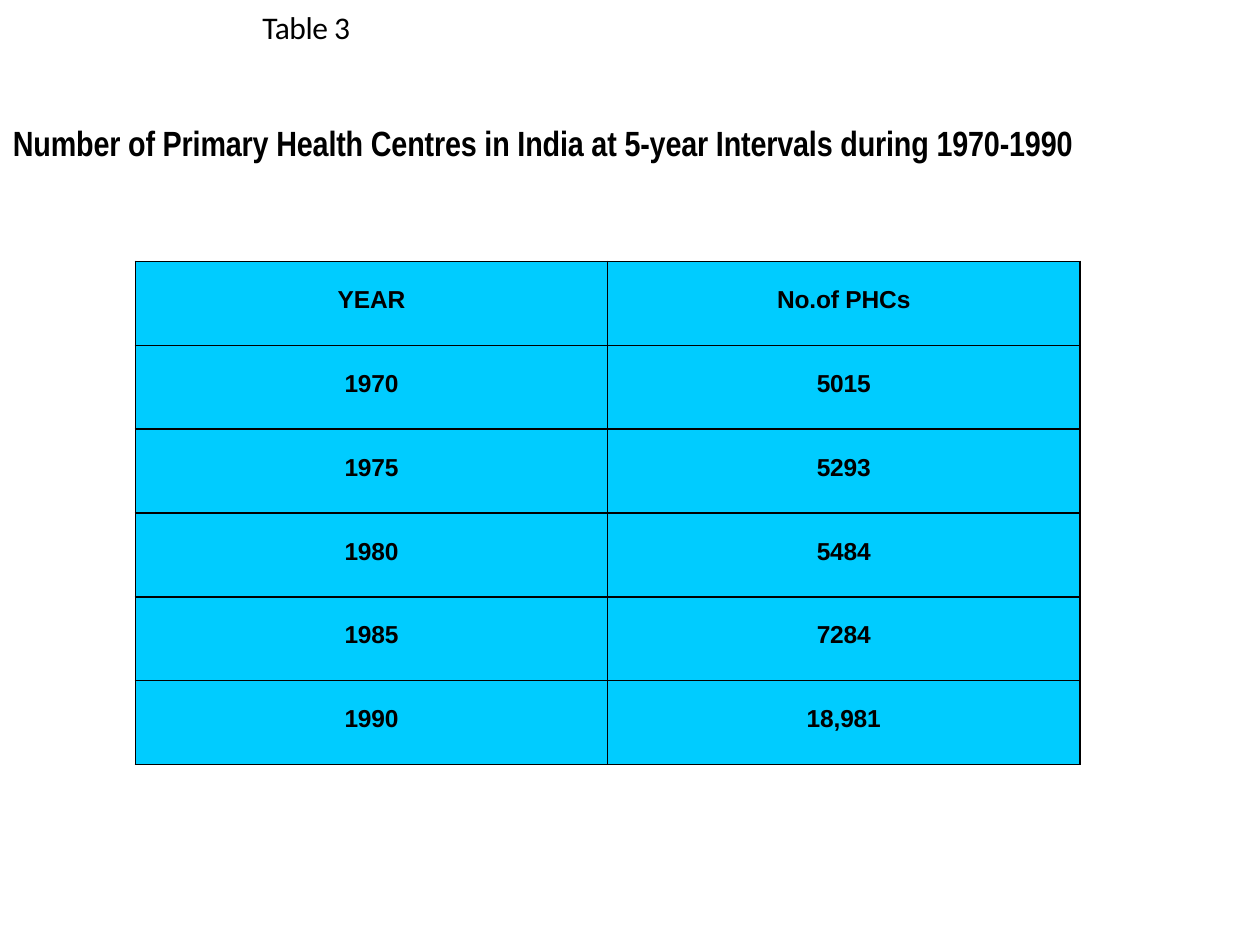
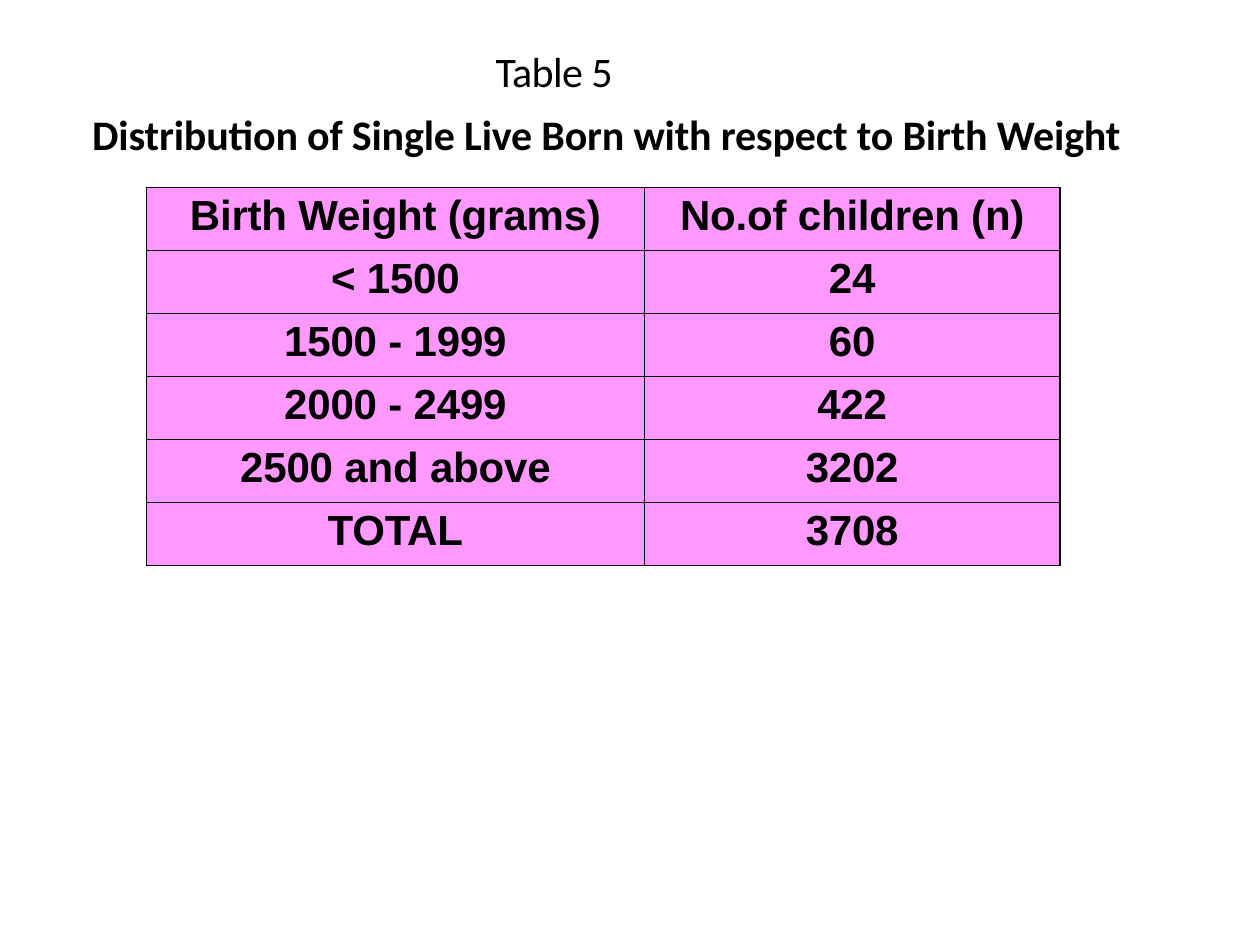
import pptx
import pptx.dml.color
import pptx.enum.text
import pptx.oxml
import pptx.oxml.ns
import pptx.util
from lxml import etree

Cm = pptx.util.Cm
Pt = pptx.util.Pt
Align = pptx.enum.text.PP_ALIGN

COLOURS = {"ink": "000000", "paper": "FFFFFF", "sky": "00CCFF", "pink": "FF99FF"}


def rgb(name):
    return pptx.dml.color.RGBColor.from_string(COLOURS[name])


def write(frame, text, font="Arial", size=14, bold=False, spacing=-0.1,
          align=Align.LEFT, before=0):
    """Put one formatted paragraph into a text frame; spacing is in points."""
    paragraph = frame.paragraphs[0]
    paragraph.alignment = align
    paragraph.space_before = Pt(before)
    run = paragraph.add_run()
    run.text = text
    run.font.name = font
    run.font.size = Pt(size)
    run.font.bold = bold
    run.font.color.rgb = rgb("ink")
    run.font._element.set("spc", str(round(spacing * 100)))


class Deck:
    """Holds the shared style and the slide being built."""
    border_width = Pt(1)

    def __init__(self):
        self.show = pptx.Presentation()
        self.show.slide_width = Cm(25.4)
        self.show.slide_height = Cm(19.05)
        self.slide = None

    def new_slide(self):
        self.slide = self.show.slides.add_slide(self.show.slide_layouts[6])
        background = self.slide.background.fill
        background.solid()
        background.fore_color.rgb = rgb("paper")

    def label(self, text, left, top, width, height, **style):
        box = self.slide.shapes.add_textbox(Cm(left), Cm(top), Cm(width), Cm(height))
        frame = box.text_frame
        frame.word_wrap = True
        frame.margin_left = frame.margin_top = Cm(0.03)
        frame.margin_right = frame.margin_bottom = 0
        write(frame, text, before=1, **style)

    def table(self, rows, left, top, widths, row_height, fill, inset_top, size):
        frame = self.slide.shapes.add_table(
            len(rows), len(widths), Cm(left), Cm(top),
            Cm(sum(widths)), Cm(row_height * len(rows)))
        grid = frame.table
        grid.first_row = grid.horz_banding = False
        for column, width in zip(grid.columns, widths):
            column.width = Cm(width)
        for row, values in zip(grid.rows, rows):
            row.height = Cm(row_height)
            for cell, value in zip(row.cells, values):
                cell.margin_left = cell.margin_right = cell.margin_bottom = 0
                cell.margin_top = Cm(inset_top)
                write(cell.text_frame, value, size=size, bold=True, align=Align.CENTER)
                self.borders(cell)
                cell.fill.solid()
                cell.fill.fore_color.rgb = rgb(fill)

    def borders(self, cell):
        properties = cell._tc.get_or_add_tcPr()
        qn = pptx.oxml.ns.qn
        for side in ("a:lnL", "a:lnR", "a:lnT", "a:lnB"):
            line = etree.SubElement(properties, qn(side), w=str(int(self.border_width)))
            paint = etree.SubElement(line, qn("a:solidFill"))
            etree.SubElement(paint, qn("a:srgbClr"), val=COLOURS["ink"])


deck = Deck()

# Slide 1: health centres by year
deck.new_slide()
health_centres = [
    ("YEAR", "No.of PHCs"),
    ("1970", "5015"),
    ("1975", "5293"),
    ("1980", "5484"),
    ("1985", "7284"),
    ("1990", "18,981"),
]
deck.table(health_centres, 2.73, 5.27, (9.52, 9.52), 1.69, "sky", inset_top=0.5, size=14)
deck.label("Number of Primary Health Centres in India at 5-year Intervals during 1970-1990",
           0.23, 2.41, 21.82, 0.91, font="Arial Narrow", size=20, bold=True)
deck.label("Table 3", 5.26, 0.13, 1.9, 0.84, font="Calibri", size=18, spacing=-0.25)

# Slide 2: live births by weight
deck.new_slide()
birth_weights = [
    ("Birth Weight (grams)", "No.of children (n)"),
    ("< 1500", "24"),
    ("1500 - 1999", "60"),
    ("2000 - 2499", "422"),
    ("2500 and above", "3202"),
    ("TOTAL", "3708"),
]
deck.table(birth_weights, 2.95, 3.78, (10.04, 8.38), 1.27, "pink", inset_top=0.1, size=24)
deck.label("Distribution of Single Live Born with respect to Birth Weight",
           1.83, 2.16, 21.03, 1.09, font="Calibri", size=24, bold=True)
deck.label("Table 5", 9.96, 0.89, 2.51, 1.09, font="Calibri", size=24, spacing=-0.35)

deck.show.save("out.pptx")
